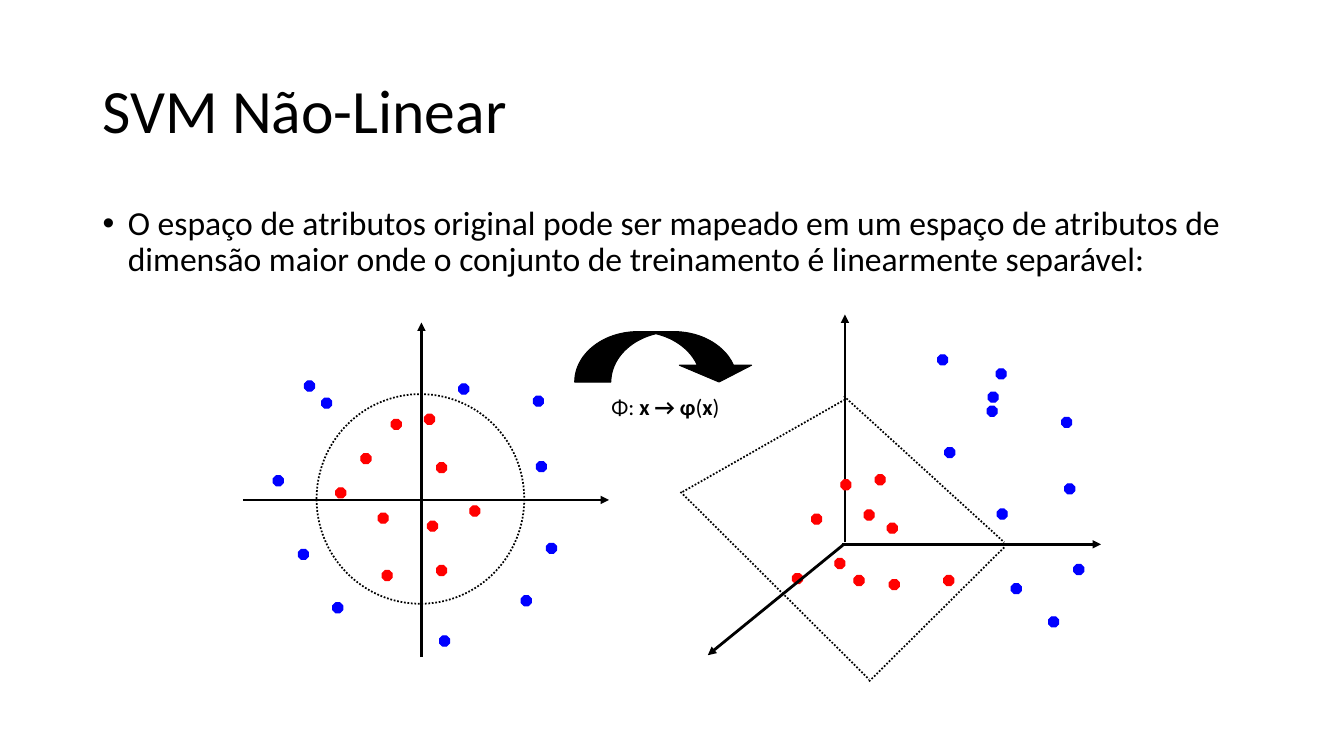
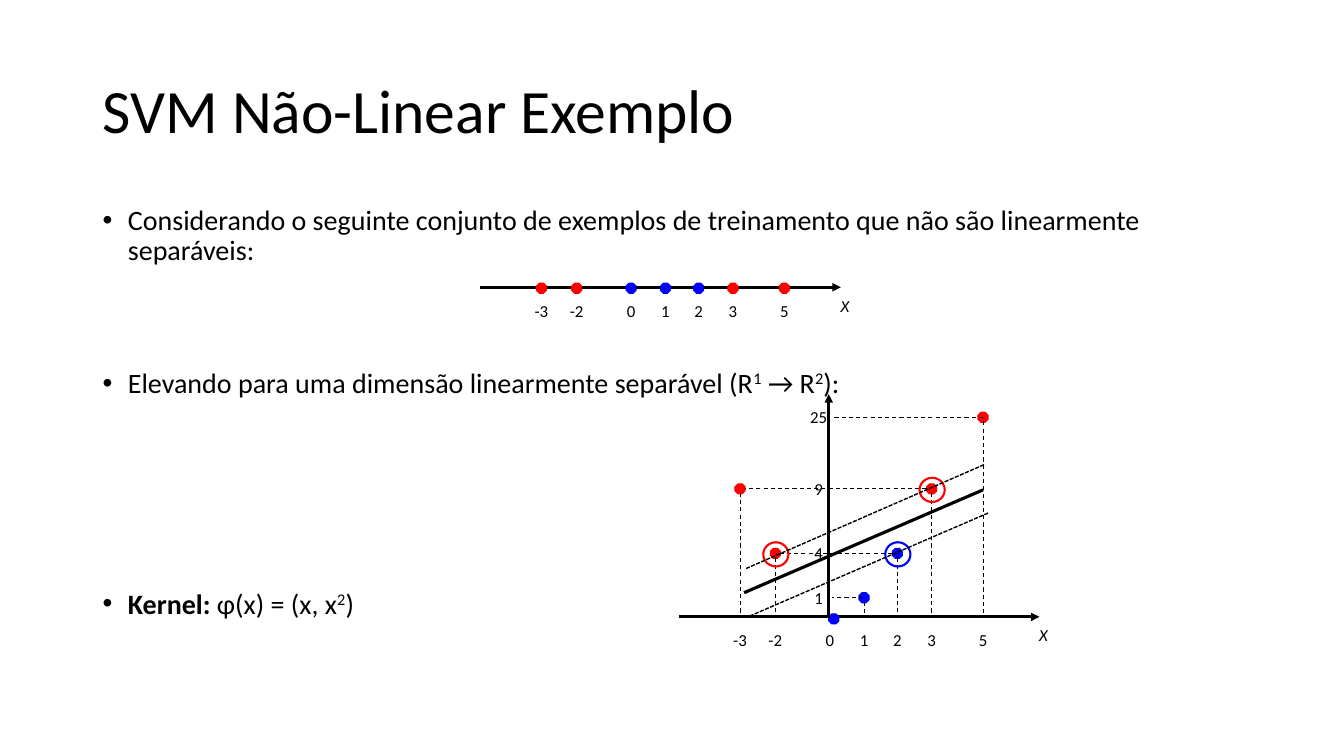
from lxml.etree import SubElement
from pptx import Presentation
from pptx.dml.color import RGBColor
from pptx.enum.dml import MSO_LINE
from pptx.enum.shapes import MSO_CONNECTOR, MSO_SHAPE
from pptx.enum.text import MSO_ANCHOR, MSO_AUTO_SIZE, PP_ALIGN
from pptx.oxml.ns import qn
from pptx.util import Emu, Pt

PX = 9144  # EMU in one px, 100 px to the inch
FONT = "Calibri"
BLACK = RGBColor(0, 0, 0)
RED = RGBColor(255, 0, 0)
BLUE = RGBColor(0, 0, 255)
DOT = 10

TITLE = (92, 40, 1150, 145)
BODY = (92, 200, 1150, 476)
INDENT = 25

# Paragraphs: space before in points, then runs of (text, style)
MAP_TEXT = [
    (0, [("O espaço de atributos original pode ser mapeado em um espaço de "
          "atributos de dimensão maior onde o conjunto de treinamento é "
          "linearmente separável:", "")]),
]
CASE_TEXT = [
    (0, [("Considerando o seguinte conjunto de exemplos de treinamento que "
          "não são linearmente separáveis:", "")]),
    (73, [("Elevando para uma dimensão linearmente separável (R", ""),
          ("1", "sup"), (" → R", ""), ("2", "sup"), ("):", "")]),
    (136, [("Kernel: ", "bold"), ("φ(x) = (x, x", ""), ("2", "sup"), (")", "")]),
]
PHI = [("Φ: ", ""), ("x → φ", "bold"), ("(", ""), ("x", "bold"), (")", "")]

# Centres of the dots in the flat and the raised space
FLAT = {
    RED: [(426, 416), (363, 455), (380, 514), (438, 566), (393, 421),
          (338, 489), (384, 571), (438, 464), (471, 507), (429, 522)],
    BLUE: [(537, 463), (522, 596), (276, 477), (441, 636), (547, 544),
           (335, 603), (301, 550), (307, 383), (460, 386), (324, 400),
           (534, 398)],
}
RAISED = {
    RED: [(873, 476), (810, 515), (852, 576), (941, 576), (839, 481),
          (862, 511), (887, 580), (885, 524), (833, 559), (791, 574)],
    BLUE: [(1061, 485), (1045, 617), (993, 371), (994, 510), (1070, 565),
           (942, 449), (1008, 584), (985, 394), (984, 408), (935, 357),
           (1058, 419)],
}
FLAT_AXES = [(418, 652, 418, 320), (241, 496, 604, 496)]
RAISED_AXES = [(838, 538, 838, 312), (835, 540, 1092, 540),
               (837, 540, 702, 650)]
PLANE = [(837, 393, 996, 538), (862, 676, 996, 543),
         (677, 488, 837, 397), (675, 488, 862, 674)]

# Value of x: offset from the start of the axis, colour
POINTS = {-3: (61, RED), -2: (96, RED), 0: (150, BLUE), 1: (184, BLUE),
          2: (217, BLUE), 3: (251, RED), 5: (302, RED)}
LEVELS = {0: 614, 1: 593, 4: 549, 9: 485, 25: 414}  # x²: height on the slide
SPANS = {1: (825, 856), 4: (770, 892), 9: (739, 919), 25: (825, 975)}
SUPPORT = (-2, 3, 2)
AXIS = 358
LINE_AT = (476, 285)
PLOT_AT = (673, 612)
MARGINS = [(976, 461, 740, 564), (980, 509, 744, 611)]
DIVIDE = (975, 486, 738, 588)


def place(box):
    return [Emu(round(n * PX)) for n in box]


def fill_runs(para, runs, size):
    for words, style in runs:
        run = para.add_run()
        run.text = words
        font = run.font
        font.name, font.size = FONT, Pt(size)
        font.color.rgb = BLACK
        font.bold = style == "bold"
        font.italic = style == "italic"
        if style == "sup":
            run._r.get_or_add_rPr().set("baseline", "30000")


def add_text(slide, box, runs, size, wrap=True):
    frame = slide.shapes.add_textbox(*place(box)).text_frame
    frame.word_wrap = wrap
    fill_runs(frame.paragraphs[0], runs, size)
    return frame


def add_label(slide, x, y, words, style=""):
    """Put a short unwrapped label around the centre x, y."""
    wide, high = 20 + 10 * len(words), 30
    frame = add_text(slide, (x - wide / 2, y - high / 2, wide, high),
                     [(words, style)], 12, wrap=False)
    frame.auto_size = MSO_AUTO_SIZE.SHAPE_TO_FIT_TEXT
    frame.paragraphs[0].alignment = PP_ALIGN.CENTER


def add_bullets(slide, items, size):
    frame = slide.shapes.add_textbox(*place(BODY)).text_frame
    frame.word_wrap = True
    for i, (gap, runs) in enumerate(items):
        para = frame.add_paragraph() if i else frame.paragraphs[0]
        para.line_spacing = 0.9
        para.space_before = Pt(gap)
        props = para._p.get_or_add_pPr()
        props.set("marL", str(INDENT * PX))
        props.set("indent", str(-INDENT * PX))
        SubElement(props, qn("a:buFont")).set("typeface", "Arial")
        SubElement(props, qn("a:buChar")).set("char", "•")
        fill_runs(para, runs, size)


def add_line(slide, ends, width, dash=None, arrow=False):
    link = slide.shapes.add_connector(MSO_CONNECTOR.STRAIGHT, *place(ends))
    link.line.color.rgb = BLACK
    link.line.width = Pt(width)
    if dash:
        link.line.dash_style = dash
    if arrow:
        SubElement(link.line._get_or_add_ln(),
                   qn("a:tailEnd")).set("type", "triangle")
    SubElement(link._element.spPr, qn("a:effectLst"))


def add_axis(slide, ends):
    add_line(slide, ends, 2, arrow=True)


def add_form(slide, kind, box, color, width, solid=True):
    form = slide.shapes.add_shape(kind, *place(box))
    form.shadow.inherit = False
    if solid:
        form.fill.solid()
        form.fill.fore_color.rgb = color
    else:
        form.fill.background()
    form.line.color.rgb = color
    form.line.width = Pt(width)
    return form


def add_dot(slide, x, y, color):
    box = (x - DOT / 2, y - DOT / 2, DOT, DOT)
    add_form(slide, MSO_SHAPE.OCTAGON, box, color, 0.75).adjustments[0] = 0.293


def add_cloud(slide, cloud):
    for color, spots in cloud.items():
        for x, y in spots:
            add_dot(slide, x, y, color)


def add_scale(slide, left, y):
    """Draw the x axis with its numbers."""
    add_axis(slide, (left, y, left + AXIS, y))
    for value, (step, _) in POINTS.items():
        add_label(slide, left + step, y + 23, str(value))
    add_label(slide, left + AXIS + 4, y + 18, "X", "italic")


def new_slide(deck, title):
    slide = deck.slides.add_slide(deck.slide_layouts[6])
    frame = add_text(slide, TITLE, [(title, "")], 44)
    frame.vertical_anchor = MSO_ANCHOR.MIDDLE
    frame.paragraphs[0].line_spacing = 0.9
    return slide


def draw_map(deck):
    slide = new_slide(deck, "SVM Não-Linear")
    add_bullets(slide, MAP_TEXT, 24)

    for ends in FLAT_AXES:
        add_axis(slide, ends)
    add_cloud(slide, FLAT)
    ring = add_form(slide, MSO_SHAPE.OVAL, (314, 391, 206, 208), BLACK, 1.25,
                    solid=False)
    ring.line.dash_style = MSO_LINE.ROUND_DOT

    *back, front = RAISED_AXES
    for ends in back:
        add_axis(slide, ends)
    add_cloud(slide, RAISED)
    add_axis(slide, front)
    for ends in PLANE:
        add_line(slide, ends, 1.25, MSO_LINE.ROUND_DOT)

    arrow = add_form(slide, MSO_SHAPE.CURVED_DOWN_ARROW, (570, 329, 179, 50),
                     BLACK, 0.75)
    for i, value in enumerate((0.717, 1.433, 0.333)):
        arrow.adjustments[i] = value
    frame = add_text(slide, (551, 385, 218, 37), PHI, 16)
    frame.paragraphs[0].alignment = PP_ALIGN.CENTER


def draw_case(deck):
    slide = new_slide(deck, "SVM Não-Linear Exemplo")
    add_bullets(slide, CASE_TEXT, 20)

    left, y = LINE_AT
    add_scale(slide, left, y)
    for step, color in POINTS.values():
        add_dot(slide, left + step, y + 1, color)

    left, base = PLOT_AT
    add_scale(slide, left, base)
    spots = {value: (left + step, LEVELS[value ** 2])
             for value, (step, _) in POINTS.items()}
    for value, (x, y) in spots.items():
        nudge = 0 if value else 4
        add_dot(slide, x + nudge, y, POINTS[value][1])
    add_axis(slide, (822, 613, 822, 391))

    for level, (start, end) in SPANS.items():
        y = LEVELS[level]
        add_label(slide, 812, y, str(level))
        add_line(slide, (end, y, start, y), 0.75, MSO_LINE.DASH)
    for value, (x, y) in spots.items():
        if value:
            add_line(slide, (x, y + 4, x, base), 0.75, MSO_LINE.DASH)

    for value in SUPPORT:
        x, y = spots[value]
        add_form(slide, MSO_SHAPE.OVAL, (x - 12, y - 11, 25, 24),
                 POINTS[value][1], 1.5, solid=False)
    for ends in MARGINS:
        add_line(slide, ends, 1, MSO_LINE.SQUARE_DOT)
    add_line(slide, DIVIDE, 2.25)


def main():
    deck = Presentation()
    deck.slide_width, deck.slide_height = place((1333, 750))
    draw_map(deck)
    draw_case(deck)
    deck.save("out.pptx")


if __name__ == "__main__":
    main()
